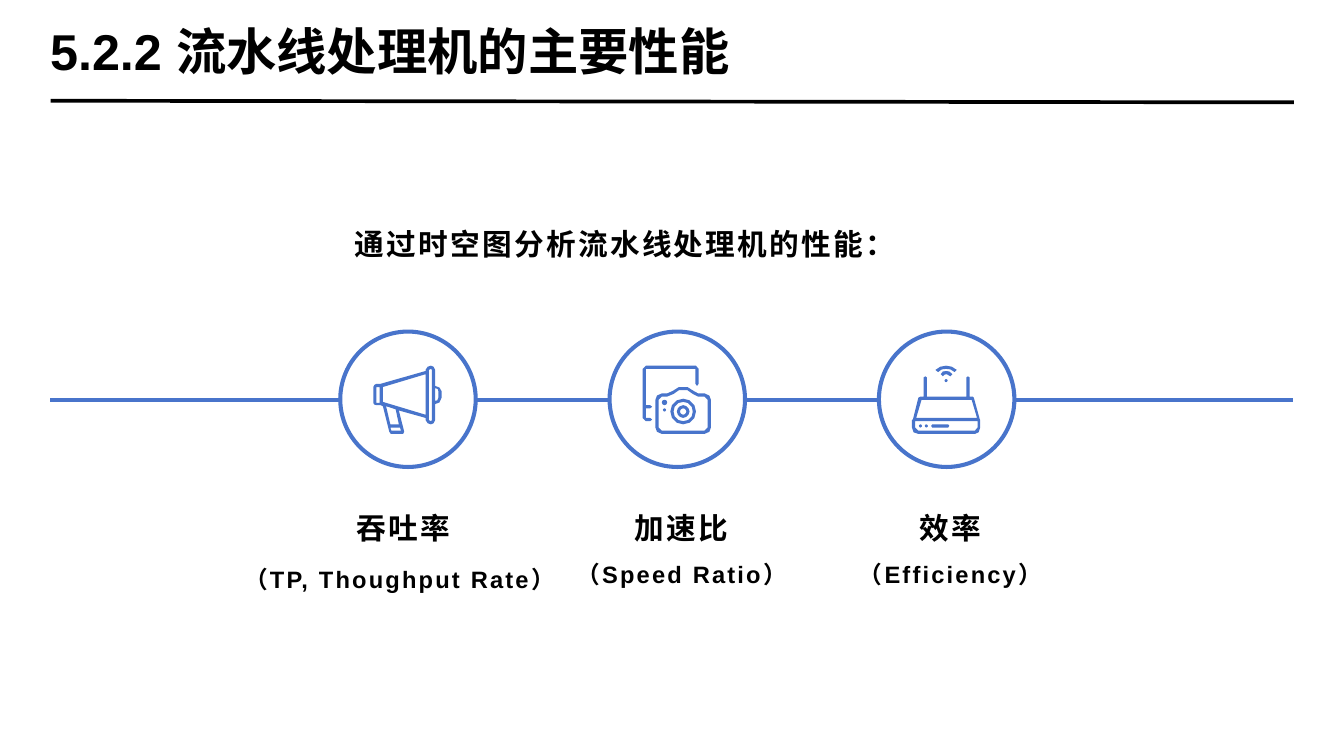
"""Build the slide on the main performance measures of a pipelined processor."""
from math import cos, pi, sin
from lxml import etree
from pptx import Presentation
from pptx.dml.color import RGBColor as Rgb
from pptx.enum.shapes import MSO_CONNECTOR as Conn, MSO_SHAPE as Kind
from pptx.enum.text import MSO_ANCHOR as Anchor, MSO_AUTO_SIZE as Auto, PP_ALIGN as Align
from pptx.oxml.ns import qn
from pptx.util import Emu, Pt

PX = 4572
FONT = "Arial"
HUES = {"ink": "000000", "blue": "4874CB", "white": "FFFFFF"}
RING = 254


def disc(x, y, rad, count=12):
    turns = [2 * pi * num / count for num in range(count)]
    return [(round(x + rad * cos(turn)), round(y + rad * sin(turn))) for turn in turns]


MEGAPHONE = [
    [(116, 38), (116, 8), (113, 2), (108, 0), (102, 2), (98, 8), (98, 10), (14, 34),
     (6, 34), (2, 36), (0, 40), (0, 70), (2, 73), (6, 74), (14, 74), (18, 76),
     (30, 124), (33, 128), (56, 128), (58, 124), (48, 84), (98, 98), (98, 102),
     (102, 108), (108, 110), (113, 108), (116, 102), (116, 72), (124, 69),
     (128, 60), (128, 48), (124, 41)],
    [(116, 42), (121, 44), (122, 48), (122, 60), (120, 65), (116, 66)],
    [(110, 8), (108, 6), (104, 8), (104, 102), (108, 104), (110, 102)],
    [(98, 92), (18, 68), (18, 40), (98, 16)],
    [(48, 110), (32, 110), (24, 76), (42, 82)],
    [(52, 122), (34, 122), (32, 116), (50, 116)],
    [(12, 70), (6, 70), (6, 40), (12, 40)],
]
CAMERA = [
    [(6, 0), (100, 0), (105, 6), (105, 34), (102, 38), (99, 34), (99, 6), (6, 6),
     (6, 74), (14, 74), (18, 77), (14, 80), (6, 80), (6, 98), (14, 98), (18, 101),
     (14, 104), (6, 104), (0, 98), (0, 6)],
    [(36, 52), (46, 52), (57, 47), (68, 40), (84, 40), (95, 47), (104, 52), (116, 52),
     (125, 56), (128, 64), (128, 116), (125, 124), (116, 128), (36, 128), (27, 124),
     (24, 116), (24, 64), (27, 56)],
    [(30, 116), (36, 122), (116, 122), (122, 116), (122, 64), (116, 58), (104, 58),
     (94, 53), (84, 46), (68, 46), (58, 53), (46, 58), (36, 58), (30, 64)],
    *[disc(76, 86, rad) for rad in (24, 18, 12, 6)],
    disc(41, 69, 5),
    disc(41, 83, 3, 8),
]
ROUTER = [
    [(128, 102), (127, 100), (116, 60), (114, 58), (108, 58), (108, 22), (105, 20),
     (102, 22), (102, 58), (28, 58), (28, 22), (25, 20), (22, 22), (22, 58), (16, 58),
     (12, 60), (2, 100), (0, 102), (0, 116), (3, 125), (12, 128), (118, 128),
     (125, 125), (128, 116)],
    [(123, 104), (123, 116), (118, 122), (12, 122), (6, 116), (6, 104)],
    [(18, 64), (112, 64), (122, 98), (8, 98)],
    [(38, 116), (68, 116), (70, 113), (68, 110), (38, 110), (36, 113)],
    [(72, 20), (76, 16), (70, 11), (64, 10), (58, 11), (54, 16), (58, 20), (61, 17),
     (64, 16), (67, 17)],
    [(64, 6), (72, 7), (80, 12), (84, 8), (75, 2), (64, 0), (53, 2), (44, 8), (49, 12),
     (56, 7)],
    *[disc(x, y, 3, 8) for x, y in ((64, 28), (27, 113), (16, 113))],
]


def px(*vals):
    return [Emu(val * PX) for val in vals]


def hue(name):
    return Rgb.from_string(HUES[name])


def style(shape, fill, line=None, width=2.75):
    shape.shadow.inherit = False
    shape.fill.solid()
    shape.fill.fore_color.rgb = hue(fill)
    if line:
        shape.line.color.rgb = hue(line)
        shape.line.width = Pt(width)
    else:
        shape.line.fill.background()


def rule(slide, start, end, color, width):
    line = slide.shapes.add_connector(Conn.STRAIGHT, *px(*start, *end))
    line.line.color.rgb = hue(color)
    line.line.width = Pt(width)
    etree.SubElement(line._element.spPr, qn("a:effectLst"))


def icon(slide, left, top, loops):
    pen = slide.shapes.build_freeform(*loops[0][0], scale=PX)
    for num, (start, *rest) in enumerate(loops):
        if num:
            pen.move_to(*start)
        pen.add_line_segments(rest, close=True)
    style(pen.convert_to_shape(*px(left, top)), "blue")


def write(para, text, size=20, align=Align.LEFT, space=None, gap=0):
    para.alignment = align
    if space:
        para.line_spacing = space
    run = para.add_run()
    run.text = text
    run.font.name = FONT
    run.font.size = Pt(size)
    run.font.bold = True
    run.font.color.rgb = hue("ink")
    if gap:
        run._r.get_or_add_rPr().set("spc", str(gap))


def frame(slide, *box):
    text = slide.shapes.add_textbox(*px(*box)).text_frame
    text.word_wrap = True
    return text


def label(slide, left, wide, name, term, tail=""):
    text = frame(slide, left, 914, wide, 248)
    form = {"align": Align.CENTER, "space": 1.5, "gap": 150}
    write(text.paragraphs[0], name, **form)
    para = text.add_paragraph()
    write(para, term, size=16, **form)
    if tail:
        write(para, tail, size=18, **form)


def head(slide, words):
    title = slide.shapes.title
    title.left, title.top, title.width, title.height = px(94, 32, 2330, 126)
    text = title.text_frame
    text.auto_size = Auto.NONE
    text.word_wrap = True
    text.vertical_anchor = Anchor.MIDDLE
    text.margin_left = text.margin_right = text.margin_top = text.margin_bottom = 0
    write(text.paragraphs[0], words, size=34)


def main():
    deck = Presentation()
    deck.slide_width, deck.slide_height = px(2520, 1418)
    slide = deck.slides.add_slide(deck.slide_layouts[5])
    head(slide, "5.2.2 流水线处理机的主要性能")
    rule(slide, (95, 189), (2426, 192), "ink", 2.5)
    rule(slide, (94, 750), (2425, 750), "blue", 2.75)
    intro = frame(slide, 646, 394, 1288, 248)
    write(intro.paragraphs[0], "通过时空图分析流水线处理机的性能：", space=1.3, gap=150)
    items = [
        (MEGAPHONE, 402, 710, "吞吐率", "（TP, Thoughput Rate）", " "),
        (CAMERA, 1039, 478, "加速比", "（Speed Ratio）"),
        (ROUTER, 1543, 478, "效率", "（Efficiency）"),
    ]
    for num, (loops, *words) in enumerate(items):
        left = 638 + 505 * num
        ring = slide.shapes.add_shape(Kind.OVAL, *px(left, 622, RING, RING))
        style(ring, "white", line="blue")
        icon(slide, left + 62, 686, loops)
        label(slide, *words)
    deck.save("out.pptx")


if __name__ == "__main__":
    main()
